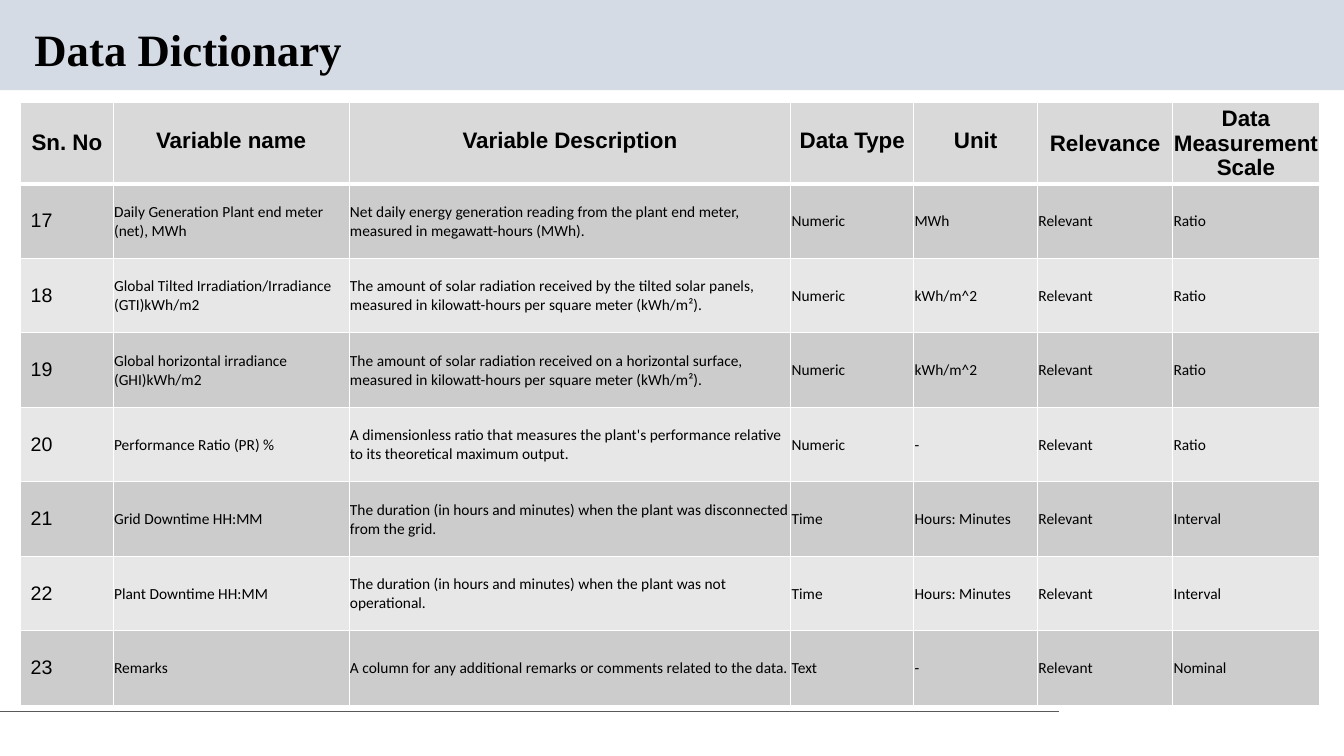
import dataclasses
import typing

import lxml.etree
import pptx
import pptx.dml.color
import pptx.enum.shapes
import pptx.enum.text
import pptx.oxml.ns
import pptx.util

Pt = pptx.util.Pt
ALIGN = pptx.enum.text.PP_ALIGN
MID = pptx.enum.text.MSO_ANCHOR.MIDDLE
HUES = {
    "band": "D5DBE5",
    "rule": "595959",
    "ink": "000000",
    "edge": "FFFFFF",
    "head": "D9D9D9",
    "dark": "CCCCCC",
    "light": "E7E7E7",
}
WIDTHS = [66.2, 168.5, 315.5, 87.8, 88.5, 96.5, 104.6]
HEAD_TALL = 56.9
ROW_TALL = 53.25
HEADS = ["Sn. No", "Variable name", "Variable Description", "Data Type",
         "Unit", "Relevance", "Data Measurement Scale"]


@dataclasses.dataclass
class Entry:
    num: int
    name: str
    about: str
    kind: str
    unit: str
    scale: str

    def cells(self) -> list[str]:
        return [str(self.num), self.name, self.about, self.kind,
                self.unit, "Relevant", self.scale]


ENTRIES = [
    Entry(17, "Daily Generation Plant end meter (net), MWh",
          "Net daily energy generation reading from the plant end meter, "
          "measured in megawatt-hours (MWh).", "Numeric", "MWh", "Ratio"),
    Entry(18, "Global Tilted Irradiation/Irradiance (GTI)kWh/m2",
          "The amount of solar radiation received by the tilted solar panels, "
          "measured in kilowatt-hours per square meter (kWh/m²).",
          "Numeric", "kWh/m^2", "Ratio"),
    Entry(19, "Global horizontal irradiance (GHI)kWh/m2",
          "The amount of solar radiation received on a horizontal surface, "
          "measured in kilowatt-hours per square meter (kWh/m²).",
          "Numeric", "kWh/m^2", "Ratio"),
    Entry(20, "Performance Ratio (PR) %",
          "A dimensionless ratio that measures the plant's performance "
          "relative to its theoretical maximum output.",
          "Numeric", "-", "Ratio"),
    Entry(21, "Grid Downtime HH:MM",
          "The duration (in hours and minutes) when the plant was "
          "disconnected from the grid.", "Time", "Hours: Minutes", "Interval"),
    Entry(22, "Plant Downtime HH:MM",
          "The duration (in hours and minutes) when the plant was not "
          "operational.", "Time", "Hours: Minutes", "Interval"),
    Entry(23, "Remarks",
          "A column for any additional remarks or comments related to the "
          "data.", "Text", "-", "Nominal"),
]


def hue(key: str) -> pptx.dml.color.RGBColor:
    return pptx.dml.color.RGBColor.from_string(HUES[key])


def write(frame: typing.Any, text: str, *, font: str, size: float,
          bold: bool = False, align: typing.Any = ALIGN.LEFT,
          space: float = 1.0) -> None:
    para = frame.paragraphs[0]
    para.alignment = align
    para.line_spacing = space
    run = para.add_run()
    run.text = text
    run.font.name = font
    run.font.size = Pt(size)
    run.font.bold = bold
    run.font.color.rgb = hue("ink")


def add_edge(cell: typing.Any, top: float, base: float) -> None:
    props = cell._tc.get_or_add_tcPr()
    sides = [("L", 1), ("R", 1), ("T", top), ("B", base)]
    for place, (side, width) in enumerate(sides):
        line = lxml.etree.Element(pptx.oxml.ns.qn(f"a:ln{side}"), w=str(Pt(width)))
        fill = lxml.etree.SubElement(line, pptx.oxml.ns.qn("a:solidFill"))
        lxml.etree.SubElement(fill, pptx.oxml.ns.qn("a:srgbClr"), val=HUES["edge"])
        props.insert(place, line)


def fill_cell(cell: typing.Any, text: str, row: int, col: int) -> None:
    cell.vertical_anchor = MID
    if col:
        cell.margin_left = cell.margin_right = cell.margin_top = Pt(0.6)
        cell.margin_bottom = Pt(3.6 if row == 0 and col < 5 else 0)
    cell.fill.solid()
    cell.fill.fore_color.rgb = hue("head" if row == 0 else "dark" if row % 2 else "light")
    add_edge(cell, 3 if row == 1 else 1, 3 if row == 0 else 1)
    if row == 0:
        write(cell.text_frame, text, font="Arial", size=16, bold=True, align=ALIGN.CENTER)
    elif col == 0:
        write(cell.text_frame, text, font="Arial", size=14)
    else:
        write(cell.text_frame, text, font="Calibri", size=11)


def add_frame(slide: typing.Any) -> None:
    band = slide.shapes.add_shape(pptx.enum.shapes.MSO_SHAPE.RECTANGLE,
                                  Pt(0), Pt(0), Pt(960), Pt(64.5))
    band.shadow.inherit = False
    band.fill.solid()
    band.fill.fore_color.rgb = hue("band")
    band.line.fill.background()
    rule = slide.shapes.add_connector(pptx.enum.shapes.MSO_CONNECTOR.STRAIGHT,
                                      Pt(0), Pt(508.3), Pt(756.5), Pt(508.3))
    rule.line.color.rgb = hue("rule")
    rule.line.width = Pt(0.75)
    lxml.etree.SubElement(rule._element.spPr, pptx.oxml.ns.qn("a:effectLst"))


def add_title(slide: typing.Any) -> None:
    frame = slide.shapes.add_textbox(Pt(17.5), Pt(15.6), Pt(828), Pt(42.5)).text_frame
    frame.word_wrap = True
    frame.vertical_anchor = MID
    write(frame, "Data Dictionary", font="Times New Roman", size=32, bold=True, space=0.9)


def add_grid(slide: typing.Any) -> None:
    rows = [HEADS] + [entry.cells() for entry in ENTRIES]
    talls = [HEAD_TALL] + [ROW_TALL] * len(ENTRIES)
    grid = slide.shapes.add_table(len(rows), len(HEADS), Pt(14.7), Pt(73),
                                  Pt(sum(WIDTHS)), Pt(sum(talls))).table
    for column, width in zip(grid.columns, WIDTHS):
        column.width = Pt(width)
    for row, (texts, tall) in enumerate(zip(rows, talls)):
        grid.rows[row].height = Pt(tall)
        for col, text in enumerate(texts):
            fill_cell(grid.cell(row, col), text, row, col)


def main() -> None:
    deck = pptx.Presentation()
    deck.slide_width = Pt(960)
    deck.slide_height = Pt(540)
    slide = deck.slides.add_slide(deck.slide_layouts[6])
    add_frame(slide)
    add_title(slide)
    add_grid(slide)
    deck.save("out.pptx")


if __name__ == "__main__":
    main()
